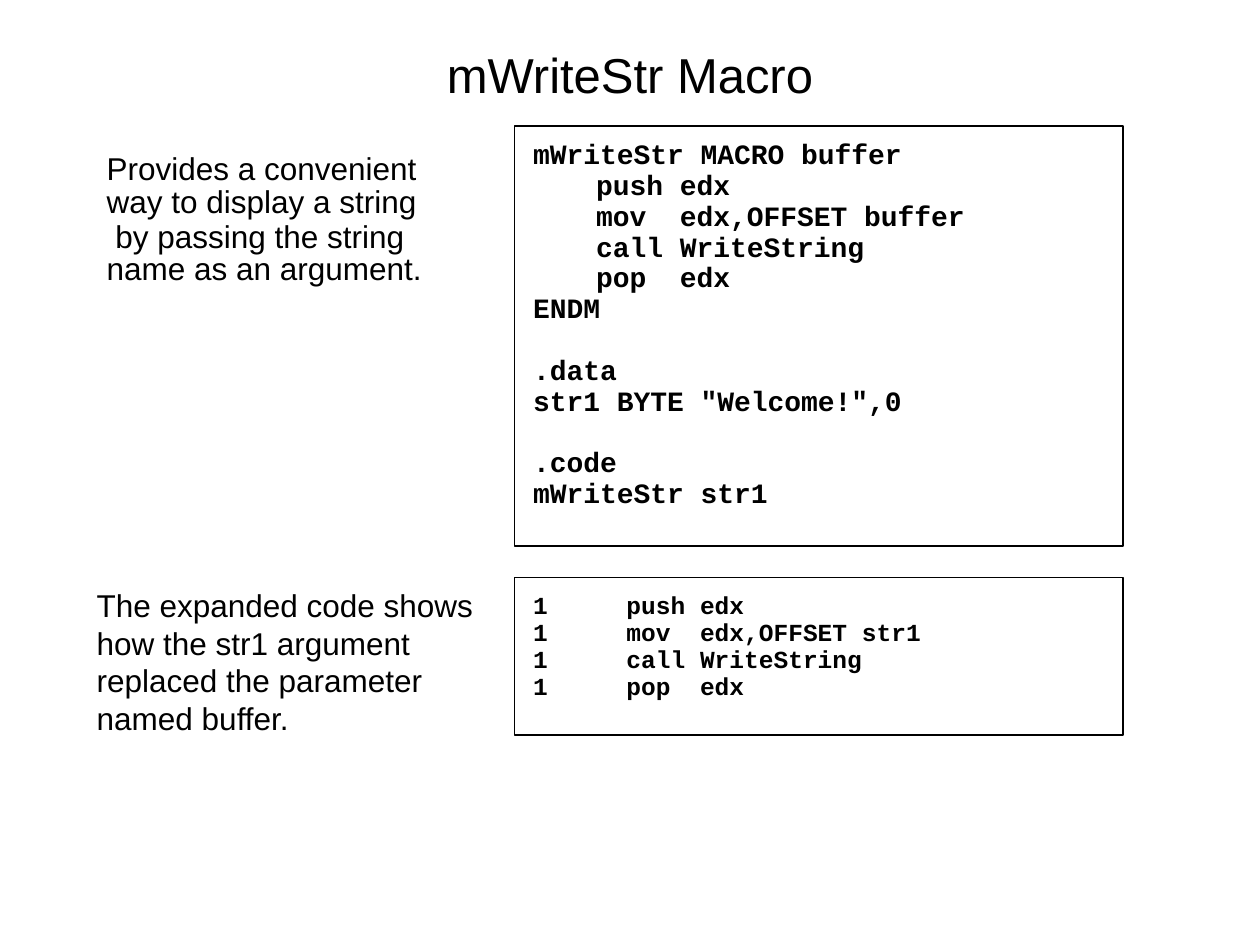
from lxml.etree import SubElement
from pptx import Presentation
from pptx.dml.color import RGBColor
from pptx.enum.shapes import MSO_SHAPE
from pptx.enum.text import MSO_ANCHOR, MSO_AUTO_SIZE, PP_ALIGN
from pptx.oxml.ns import qn
from pptx.util import Cm, Pt


def color(value):
    return RGBColor.from_string(value)


def write_lines(shape, lines, font, paragraph_format, margins, anchor=MSO_ANCHOR.TOP):
    """Fill a shape with paragraphs; lines holds (text, space before in points)."""
    frame = shape.text_frame
    horizontal, vertical = margins
    frame_format = {
        "word_wrap": True, "auto_size": MSO_AUTO_SIZE.NONE, "vertical_anchor": anchor,
        "margin_left": Cm(horizontal), "margin_right": Cm(horizontal),
        "margin_top": Cm(vertical), "margin_bottom": Cm(vertical),
    }
    for name, value in frame_format.items():
        setattr(frame, name, value)
    for index, (text, space_before) in enumerate(lines):
        paragraph = frame.add_paragraph() if index else frame.paragraphs[0]
        run = paragraph.add_run()
        run.text = text
        paragraph.space_before = Pt(space_before)
        for name, value in paragraph_format.items():
            setattr(paragraph, name, value)
        for name, value in font.items():
            setattr(run.font, name, value)
        run.font.color.rgb = color("000000")


presentation = Presentation()
presentation.slide_width = Cm(25.4)
presentation.slide_height = Cm(19.05)
slide = presentation.slides.add_slide(presentation.slide_layouts[5])

title = slide.shapes.title
title_format = {"left": Cm(1.9), "top": Cm(0.64), "width": Cm(21.6), "height": Cm(1.7)}
for name, value in title_format.items():
    setattr(title, name, value)
write_lines(title, [("mWriteStr Macro", 0)], {"name": "Arial", "size": Pt(28)},
            {"alignment": PP_ALIGN.CENTER}, (0.25, 0.13), MSO_ANCHOR.MIDDLE)

# Explanations: left, top, width, height, line spacing, lines
explanations = [
    (1.9, 2.75, 8.05, 3.4, 0.85, [
        ("Provides a convenient way to display a string", 1.8),
        (" by passing the string name as an argument.", 1.8),
    ]),
    (1.7, 11.43, 8.25, 3.81, 1.0, [
        ("The expanded code shows how the str1 argument replaced "
         "the parameter named buffer.", 9),
    ]),
]
for left, top, width, height, line_spacing, lines in explanations:
    explanation = slide.shapes.add_textbox(Cm(left), Cm(top), Cm(width), Cm(height))
    write_lines(explanation, lines, {"name": "Arial", "size": Pt(18)},
                {"line_spacing": line_spacing}, (0.25, 0.38))

# Listings: top, height, font size, first tab stop, lines
SECTION_GAP = 25.6
listings = [
    (2.54, 8.47, 16, 1.27, [
        ("mWriteStr MACRO buffer", 8),
        ("\tpush edx", 8),
        ("\tmov  edx,OFFSET buffer", 8),
        ("\tcall WriteString", 8),
        ("\tpop  edx", 8),
        ("ENDM", 8),
        (".data", SECTION_GAP),
        ('str1 BYTE "Welcome!",0', 8),
        (".code", SECTION_GAP),
        ("mWriteStr str1", 8),
    ]),
    (11.64, 3.18, 14, 1.88, [
        ("1\tpush edx", 7),
        ("1\tmov  edx,OFFSET str1", 7),
        ("1\tcall WriteString", 7),
        ("1\tpop  edx", 7),
    ]),
]
for top, height, size, first_tab, lines in listings:
    listing = slide.shapes.add_shape(MSO_SHAPE.RECTANGLE, Cm(10.37), Cm(top), Cm(12.27), Cm(height))
    listing.shadow.inherit = False
    listing.fill.background()
    listing.line.color.rgb = color("000000")
    listing.line.width = Pt(0.75)
    write_lines(listing, lines, {"name": "Courier New", "size": Pt(size), "bold": True},
                {"alignment": PP_ALIGN.LEFT, "line_spacing": 0.5}, (0.38, 0.51))
    for paragraph in listing.text_frame.paragraphs:
        tab_list = SubElement(paragraph._p.get_or_add_pPr(), qn("a:tabLst"))
        for position in (first_tab, 10.16, 11.43):
            SubElement(tab_list, qn("a:tab"), pos=str(Cm(position)), algn="l")

presentation.save("out.pptx")
